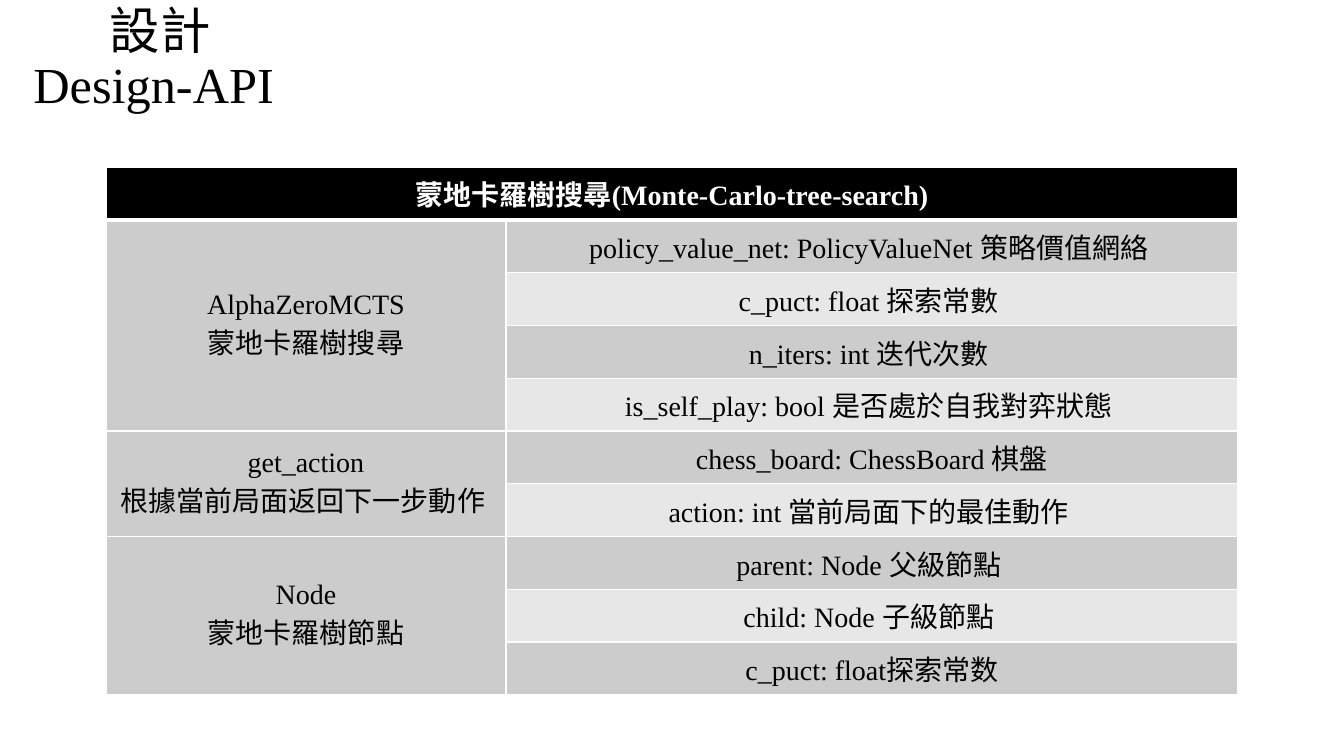
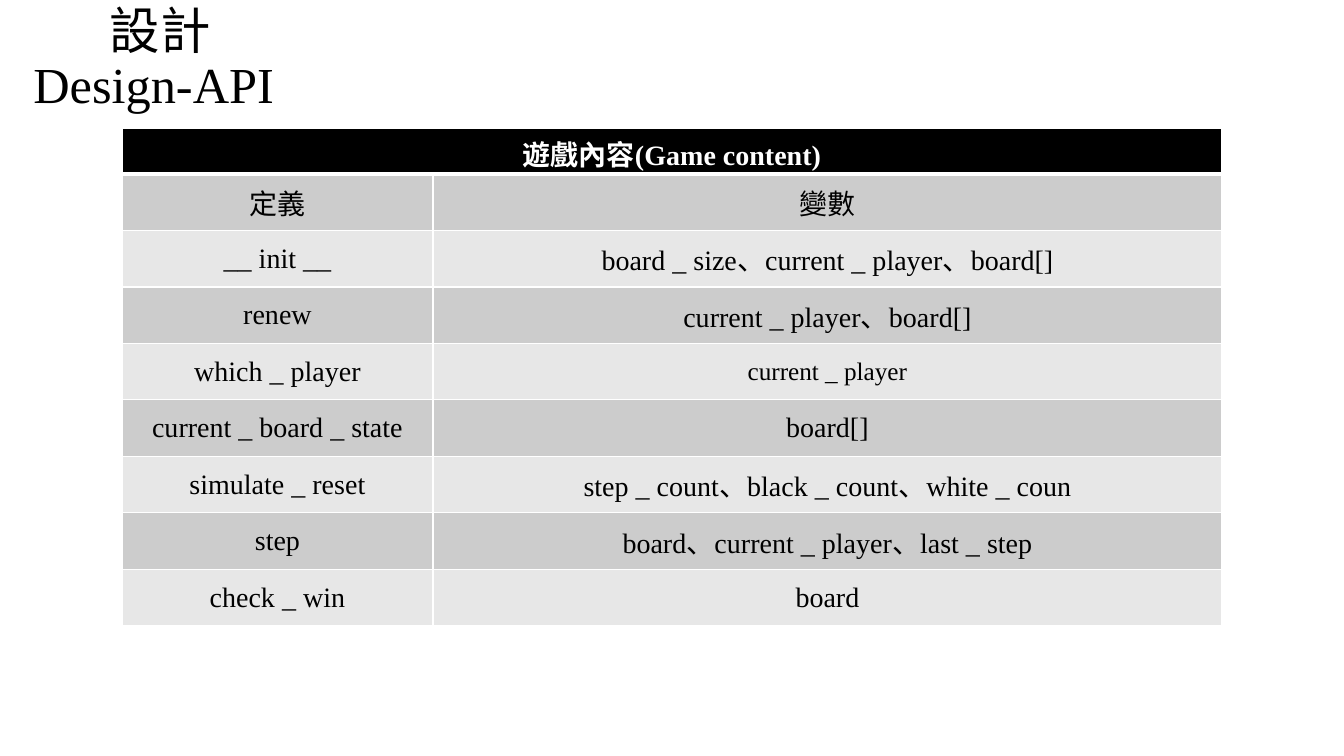
from lxml.etree import SubElement
from pptx import Presentation
from pptx.dml.color import RGBColor
from pptx.enum.text import MSO_ANCHOR, PP_ALIGN
from pptx.oxml.ns import qn
from pptx.util import Emu, Pt

# Content: each group is (definition, its variables)
TITLE = "設計\vDesign-API "
TABLES = [
    {
        "heading": "蒙地卡羅樹搜尋(Monte-Carlo-tree-search)",
        "box": (106, 167, 1132, 528),
        "first_column": 400,
        "header_height": 53,
        "groups": [
            ("AlphaZeroMCTS\n蒙地卡羅樹搜尋", [
                "policy_value_net: PolicyValueNet 策略價值網絡 ",
                "c_puct: float 探索常數 ",
                "n_iters: int 迭代次數 ",
                "is_self_play: bool 是否處於自我對弈狀態 ",
            ]),
            ("get_action\n根據當前局面返回下一步動作 ", [
                "chess_board: ChessBoard 棋盤",
                "action: int 當前局面下的最佳動作 ",
            ]),
            ("Node\n蒙地卡羅樹節點", [
                "parent: Node 父級節點 ",
                "child: Node 子級節點 ",
                "c_puct: float探索常数",
            ]),
        ],
    },
    {
        "heading": "遊戲內容(Game content)",
        "box": (122, 128, 1100, 498),
        "first_column": 311,
        "header_height": 46,
        "groups": [
            ("定義", ["變數"]),
            ("__ init __", ["board _ size、current _ player、board[]"]),
            ("renew", ["current _ player、board[]"]),
            ("which _ player", ["current _ player"]),
            ("current _ board _ state", ["board[]"]),
            ("simulate _ reset", ["step _ count、black _ count、white _ coun"]),
            ("step", ["board、current _ player、last _ step"]),
            ("check _ win", ["board"]),
        ],
    },
]

# Shared formats
BLACK, WHITE = "000000", "FFFFFF"
BANDS = ("CCCCCC", "E7E7E7")
LATIN, CJK = "Times New Roman", "Noto Sans CJK SC"
TITLE_FONT = {"name": LATIN, "size": Pt(36), "bold": False}
BODY_FONT = {"name": LATIN, "size": Pt(20), "bold": False}
HEADER_FONT = {**BODY_FONT, "bold": True}
SPECIAL_FONTS = {
    "定義": {**BODY_FONT, "name": CJK},
    "current _ player": {**BODY_FONT, "size": Pt(18)},
}
TITLE_BOX = (0, 0, 320, 120)


def px(value):
    return Emu(round(value * 914400 / 100.8))


def rgb(color):
    return RGBColor.from_string(color)


def write(frame, text, font, color, spacing=1.0):
    frame.text = text
    frame.word_wrap = True
    frame.vertical_anchor = MSO_ANCHOR.MIDDLE
    for paragraph in frame.paragraphs:
        paragraph.alignment = PP_ALIGN.CENTER
        paragraph.line_spacing = spacing
        for run in paragraph.runs:
            for name, value in font.items():
                setattr(run.font, name, value)
            run.font.color.rgb = rgb(color)


def set_borders(cell, top=1, bottom=1):
    properties = cell._tc.get_or_add_tcPr()
    for side, points in (("L", 1), ("R", 1), ("T", top), ("B", bottom)):
        line = SubElement(properties, qn(f"a:ln{side}"), w=str(Pt(points)))
        fill = SubElement(line, qn("a:solidFill"))
        SubElement(fill, qn("a:srgbClr"), val=WHITE)


def add_title(slide):
    shape = slide.shapes.add_textbox(*map(px, TITLE_BOX))
    write(shape.text_frame, TITLE, TITLE_FONT, BLACK, 0.9)


def add_api_table(slide, content):
    groups = content["groups"]
    left, top, width, height = content["box"]
    body_rows = sum(len(variables) for _, variables in groups)
    table = slide.shapes.add_table(
        body_rows + 1, 2, px(left), px(top), px(width), px(height)).table

    # Column widths and row heights
    first = content["first_column"]
    table.columns[0].width = px(first)
    table.columns[1].width = px(width - first)
    header_height = content["header_height"]
    for index, row in enumerate(table.rows):
        row.height = px((height - header_height) / body_rows if index
                        else header_height)

    # Borders and banded fills
    for index, row in enumerate(table.rows):
        for cell in row.cells:
            set_borders(cell, top=3 if index == 1 else 1,
                        bottom=1 if index else 3)
            cell.fill.solid()
            cell.fill.fore_color.rgb = rgb(
                BANDS[(index - 1) % 2] if index else BLACK)

    # Header across both columns
    header = table.cell(0, 0)
    header.merge(table.cell(0, 1))
    write(header.text_frame, content["heading"], HEADER_FONT, WHITE)
    header.vertical_anchor = MSO_ANCHOR.MIDDLE

    # Each definition spans the rows of its variables
    start = 1
    for definition, variables in groups:
        if len(variables) > 1:
            table.cell(start, 0).merge(
                table.cell(start + len(variables) - 1, 0))
        entries = [(start, 0, definition)]
        entries += [(start + i, 1, text) for i, text in enumerate(variables)]
        for row, column, text in entries:
            cell = table.cell(row, column)
            write(cell.text_frame, text,
                  SPECIAL_FONTS.get(text, BODY_FONT), BLACK)
            cell.vertical_anchor = MSO_ANCHOR.MIDDLE
        start += len(variables)


# Build the slides
presentation = Presentation()
presentation.slide_width = px(1344)
presentation.slide_height = px(756)
for content in TABLES:
    slide = presentation.slides.add_slide(presentation.slide_layouts[6])
    add_title(slide)
    add_api_table(slide, content)
presentation.save("out.pptx")
